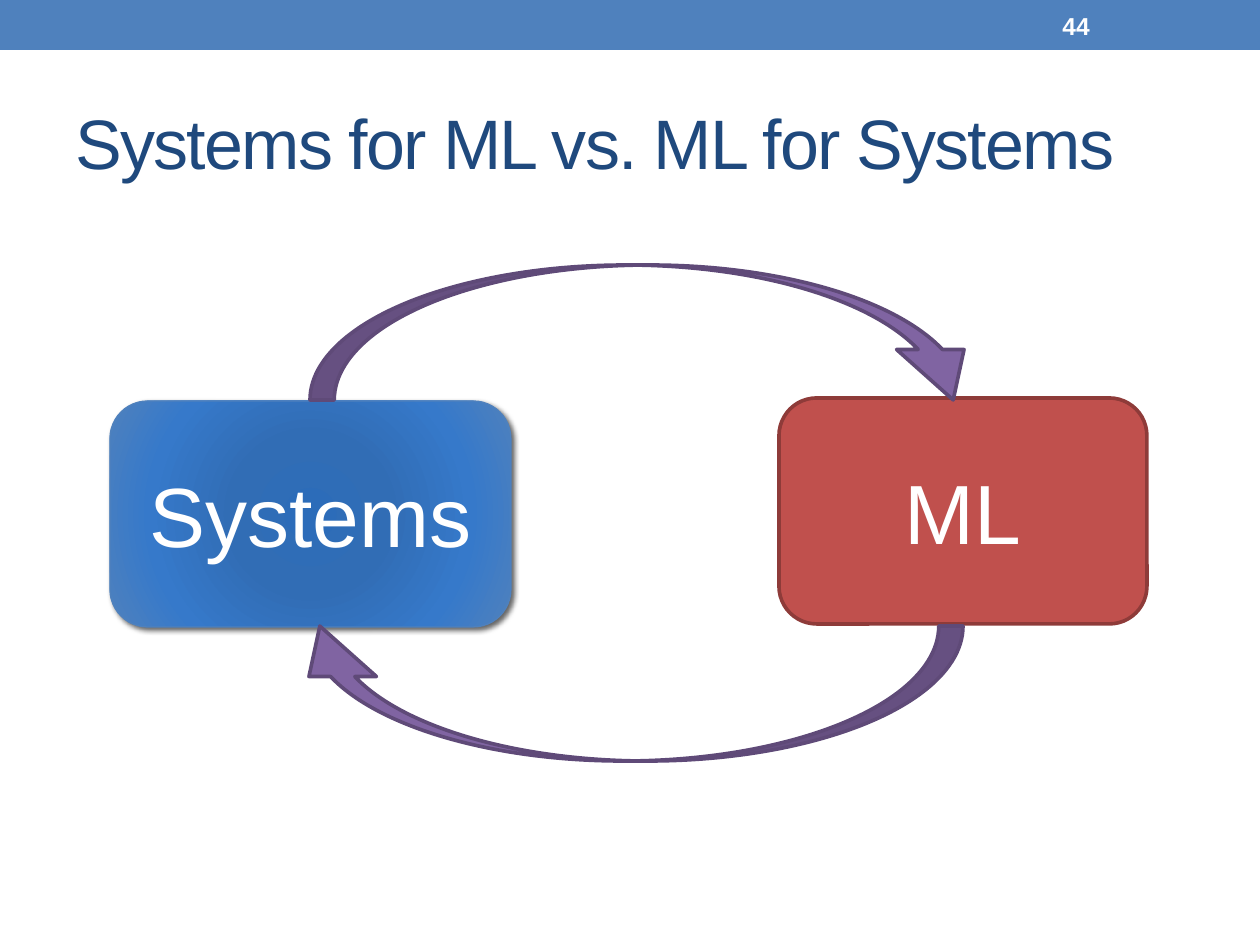
from lxml import etree
from pptx import Presentation
from pptx import util as u
from pptx.dml.color import RGBColor
from pptx.enum import shapes, text
from pptx.oxml.ns import qn

PX = u.Inches(1) / 126
FONT = "Arial"
WHITE = RGBColor(0xFF, 0xFF, 0xFF)
BLUE = RGBColor(0x4F, 0x81, 0xBD)
NAVY = RGBColor(0x1F, 0x49, 0x7D)
RED = RGBColor(0xC0, 0x50, 0x4D)
DARK_RED = RGBColor(0x8E, 0x3B, 0x39)
PURPLE = RGBColor(0x80, 0x64, 0xA2)
DARK_PURPLE = RGBColor(0x5F, 0x4A, 0x78)
BLACK = RGBColor(0, 0, 0)
SYSTEMS_STOPS = [(0, RGBColor(0x2C, 0x6C, 0xB9)), (34, RGBColor(0x31, 0x6D, 0xB5)),
                 (70, RGBColor(0x36, 0x79, 0xCA)), (100, BLUE)]


def px(*values):
    return [u.Emu(round(v * PX)) for v in values]


def sub(parent, tag, **attrs):
    return etree.SubElement(parent, qn(tag), {k: str(v) for k, v in attrs.items()})


def add_run(tf, words, size, color, bold=False, align=None):
    tf.word_wrap = True
    tf.vertical_anchor = text.MSO_ANCHOR.MIDDLE
    p = tf.paragraphs[0]
    p.alignment = align
    r = p.add_run()
    r.text = words
    r.font.name = FONT
    r.font.size = u.Pt(size)
    r.font.bold = bold
    r.font.color.rgb = color
    return r


def add_text(s, box, words, size, color, bold=False):
    tf = s.shapes.add_textbox(*px(*box)).text_frame
    return add_run(tf, words, size, color, bold, text.PP_ALIGN.LEFT)


def add_shape(s, kind, box, fill=None, line=None, width=2.08):
    sp = s.shapes.add_shape(kind, *px(*box))
    sp.shadow.inherit = False
    if fill is not None:
        sp.fill.solid()
        sp.fill.fore_color.rgb = fill
    if line is None:
        sp.line.fill.background()
    else:
        sp.line.color.rgb = line
        sp.line.width = u.Pt(width)
    return sp


def add_node(s, box, label, **style):
    sp = add_shape(s, shapes.MSO_SHAPE.ROUNDED_RECTANGLE, box, **style)
    add_run(sp.text_frame, label, 48, WHITE, align=text.PP_ALIGN.CENTER)
    return sp


def add_arrow(s, box, rotation=0):
    sp = add_shape(s, shapes.MSO_SHAPE.CURVED_DOWN_ARROW, box, PURPLE, DARK_PURPLE)
    for i, value in enumerate((0.18, 0.5, 0.374)):
        sp.adjustments[i] = value
    sp.rotation = rotation


def set_radial_fill(sp, stops):
    grad = etree.Element(qn("a:gradFill"), rotWithShape="1")
    gs_list = sub(grad, "a:gsLst")
    for pos, color in stops:
        sub(sub(gs_list, "a:gs", pos=pos * 1000), "a:srgbClr", val=color)
    circle = sub(grad, "a:path", path="circle")
    sub(circle, "a:fillToRect", **dict.fromkeys("ltrb", 100000))
    sp._element.spPr.find(qn("a:prstGeom")).addnext(grad)


def set_shadow(sp, color, alpha, blur, dist, angle):
    effects = sp._element.spPr.find(qn("a:effectLst"))
    shadow = sub(effects, "a:outerShdw", blurRad=u.Pt(blur), dist=u.Pt(dist),
                 dir=angle * 60000, algn="tl", rotWithShape=0)
    sub(sub(shadow, "a:srgbClr", val=color), "a:alpha", val=alpha * 1000)


def main():
    prs = Presentation()
    prs.slide_width, prs.slide_height = px(1260, 945)
    s = prs.slides.add_slide(prs.slide_layouts[6])

    # Header band, title and slide number
    add_shape(s, shapes.MSO_SHAPE.RECTANGLE, (0, 0, 1260, 50), BLUE)
    title = add_text(s, (63, 73, 1134, 136), "Systems for ML vs. ML for Systems", 40, NAVY)
    title.font._element.set("spc", "-100")
    add_text(s, (1050, 3, 147, 45), "44", 14, WHITE, bold=True)

    # The two fields
    systems = add_node(s, (110, 401, 401, 226), "Systems", line=BLUE, width=0.75)
    set_radial_fill(systems, SYSTEMS_STOPS)
    set_shadow(systems, BLACK, alpha=60, blur=3, dist=2, angle=45)
    add_node(s, (779, 398, 368, 226), "ML", fill=RED, line=DARK_RED)

    # Arrows there and back
    add_arrow(s, (310, 265, 677, 135))
    add_arrow(s, (286, 626, 677, 135), rotation=180)

    prs.save("out.pptx")


if __name__ == "__main__":
    main()
